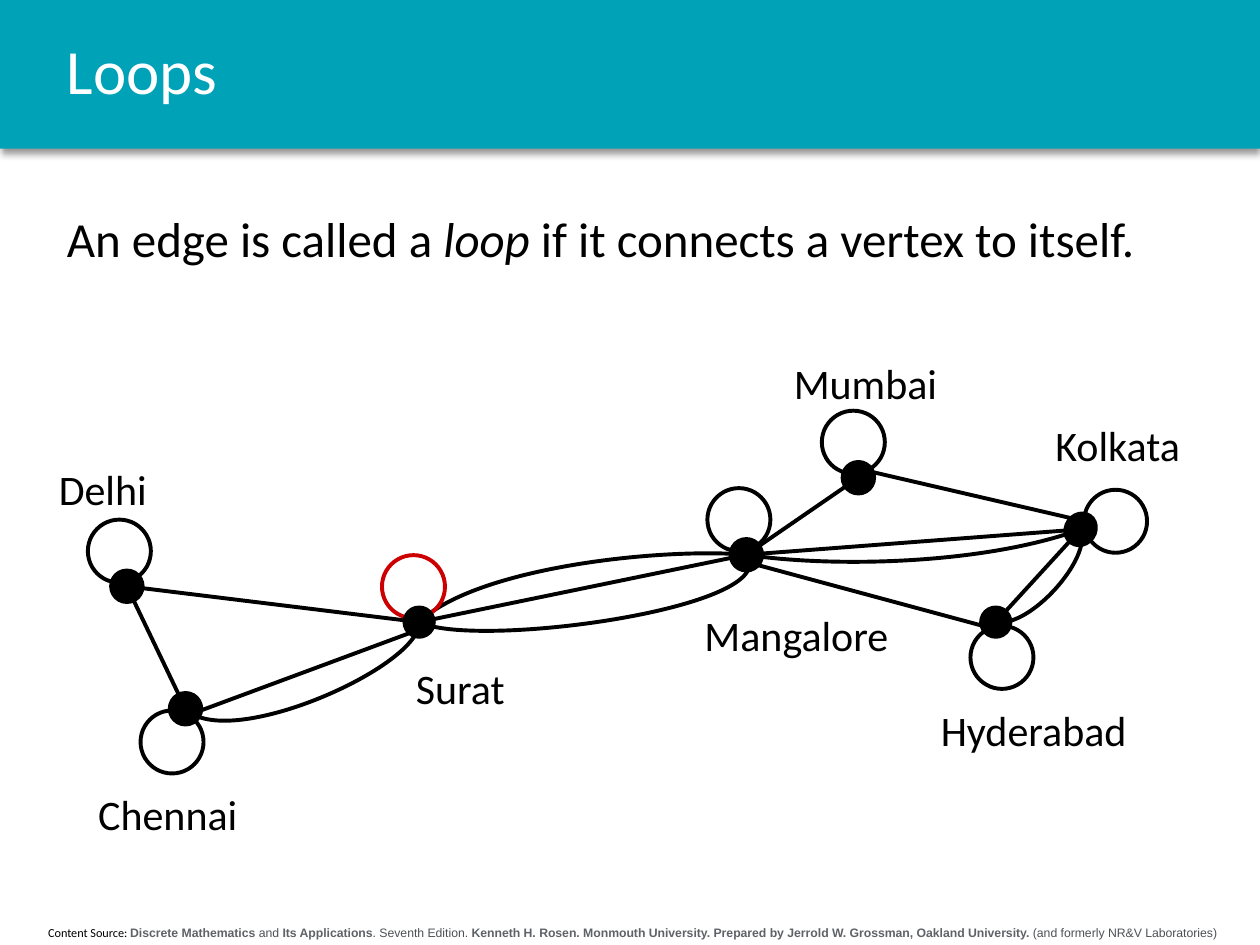
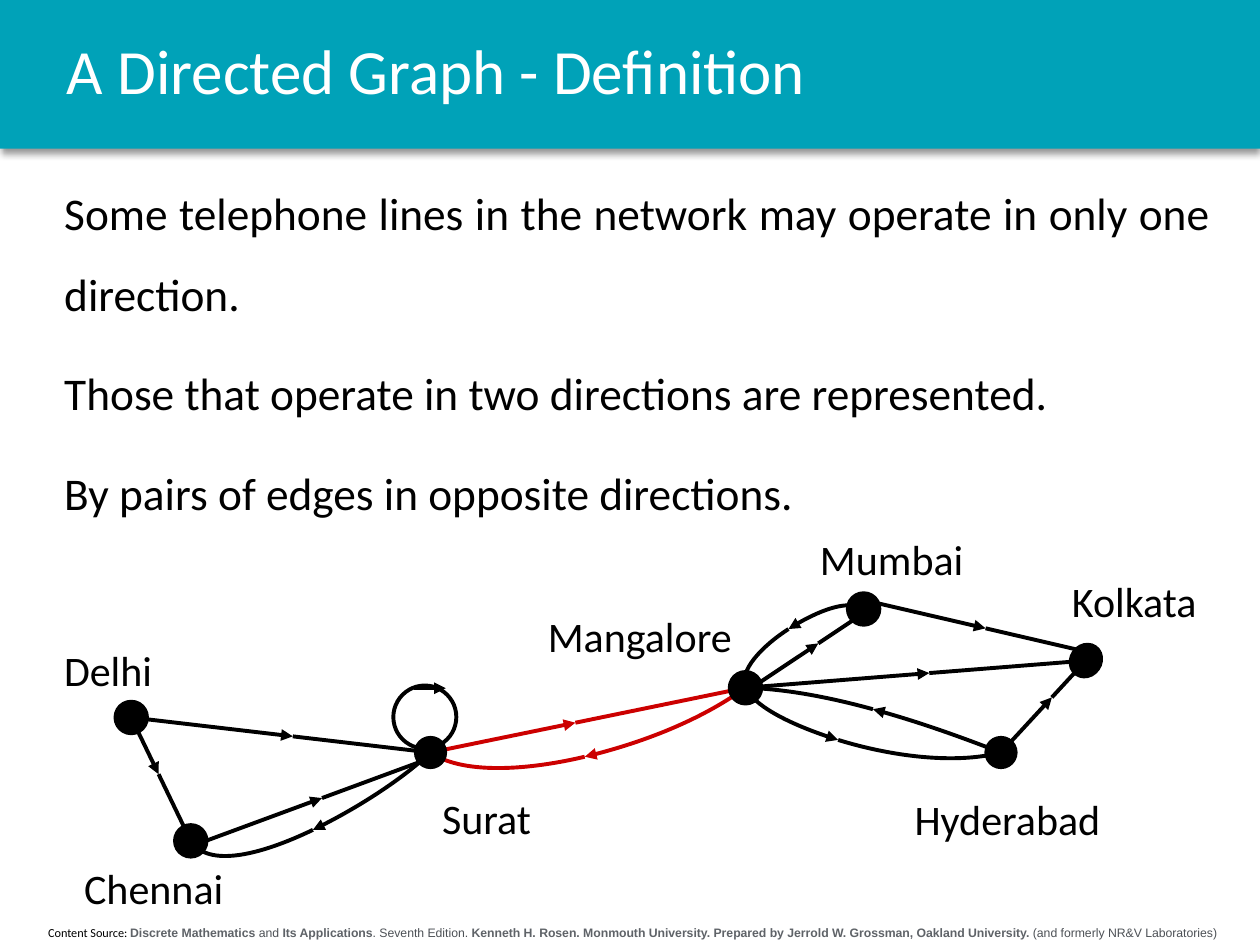
from dataclasses import dataclass
from math import cos, radians, sin
from typing import NamedTuple

from lxml.etree import SubElement
from pptx import Presentation
from pptx.dml.color import RGBColor
from pptx.enum.shapes import MSO_CONNECTOR, MSO_SHAPE
from pptx.enum.text import MSO_ANCHOR, MSO_AUTO_SIZE, PP_ALIGN
from pptx.oxml.ns import qn
from pptx.util import Pt


@dataclass(frozen=True)
class Theme:
    band: str = "00A2B8"
    white: str = "FFFFFF"
    black: str = "000000"
    red: str = "CC0000"
    citation: str = "5F6368"
    citation_light: str = "4D5156"
    font: str = "Calibri"
    citation_font: str = "Arial"
    title_size: float = 36
    label_size: float = 24
    footer_size: float = 7
    line_width: float = 2.25
    thin_line: float = 1


THEME = Theme()
VERTEX_SIZE = 18
LOOP_SIZE = 36
LOOP_DISTANCE = 20.5
LABEL_HEIGHT = 36


class VertexStyle(NamedTuple):
    label_width: float
    border: float
    height: float = VERTEX_SIZE
    rotation: float = 0


class Vertex(NamedTuple):
    centre: complex
    label_corner: complex
    loop_angle: float = None
    loop_color: str = THEME.black


class Handle(NamedTuple):
    along: float
    across: float


class Edge(NamedTuple):
    start: str
    end: str
    bend: tuple = ()
    shift: float = 0
    color: str = THEME.black
    arrow_at: float = None


VERTEX_STYLES = {
    "Delhi": VertexStyle(70, THEME.line_width),
    "Surat": VertexStyle(74, THEME.thin_line),
    "Chennai": VertexStyle(102, THEME.line_width),
    "Kolkata": VertexStyle(97, THEME.thin_line, height=20, rotation=35),
    "Mangalore": VertexStyle(130, THEME.line_width),
    "Hyderabad": VertexStyle(131, THEME.thin_line),
    "Mumbai": VertexStyle(100, THEME.line_width),
}

LOOP_VERTICES = {
    "Delhi": Vertex(72.5 + 335j, 26.5 + 261.5j, 258),
    "Surat": Vertex(239.5 + 355.5j, 230.5 + 375j, 261, THEME.red),
    "Chennai": Vertex(106 + 405j, 49 + 447j, 112),
    "Kolkata": Vertex(617.5 + 302.5j, 596 + 236j, 347),
    "Mangalore": Vertex(426.5 + 317j, 395.5 + 345j, 258),
    "Hyderabad": Vertex(569 + 355.5j, 530.5 + 399j, 80),
    "Mumbai": Vertex(490.5 + 273j, 446.5 + 201j, 262),
}
LOOP_EDGES = [
    Edge("Delhi", "Chennai"),
    Edge("Delhi", "Surat"),
    Edge("Chennai", "Surat", shift=4),
    Edge("Chennai", "Surat", bend=(Handle(0.1, 32), Handle(0.95, 24))),
    Edge("Surat", "Mangalore"),
    Edge("Surat", "Mangalore", bend=(Handle(0.15, 22), Handle(1.08, 34))),
    Edge("Surat", "Mangalore", bend=(Handle(0.2, -24), Handle(0.75, -14))),
    Edge("Mangalore", "Mumbai"),
    Edge("Mangalore", "Hyderabad", shift=4),
    Edge("Mangalore", "Kolkata"),
    Edge("Mangalore", "Kolkata", bend=(Handle(0.25, 11), Handle(0.7, 16))),
    Edge("Mumbai", "Kolkata", shift=-5),
    Edge("Hyderabad", "Kolkata"),
    Edge("Kolkata", "Hyderabad", bend=(Handle(0.1, -16), Handle(0.85, -17))),
]

DIRECTED_VERTICES = {
    "Delhi": Vertex(75 + 410j, 29.5 + 365j),
    "Surat": Vertex(246 + 430j, 245.5 + 449.5j, 261),
    "Chennai": Vertex(109 + 480.5j, 41 + 489.5j),
    "Kolkata": Vertex(620.5 + 377.5j, 605.5 + 325.5j),
    "Mangalore": Vertex(426 + 393j, 306 + 345.5j),
    "Hyderabad": Vertex(572 + 430j, 515.5 + 450j),
    "Mumbai": Vertex(493.5 + 348j, 461.5 + 301.5j),
}
DIRECTED_EDGES = [
    Edge("Delhi", "Chennai", arrow_at=0.46),
    Edge("Delhi", "Surat", arrow_at=0.54),
    Edge("Chennai", "Surat", shift=3, arrow_at=0.54),
    Edge("Surat", "Chennai", bend=(Handle(0.25, -16), Handle(0.95, -34)), arrow_at=0.47),
    Edge("Surat", "Mangalore", color=THEME.red, arrow_at=0.46),
    Edge("Mangalore", "Surat", bend=(Handle(0.3, -25), Handle(0.85, -29)), color=THEME.red, arrow_at=0.48),
    Edge("Mangalore", "Mumbai", shift=2, arrow_at=0.6),
    Edge("Mumbai", "Mangalore", bend=(Handle(0.1, 18), Handle(0.95, 20)), arrow_at=0.5),
    Edge("Mangalore", "Hyderabad", bend=(Handle(0.1, 18), Handle(0.7, 25)), arrow_at=0.47),
    Edge("Hyderabad", "Mangalore", bend=(Handle(0.33, 6), Handle(0.7, 10)), arrow_at=0.5),
    Edge("Mangalore", "Kolkata", arrow_at=0.54),
    Edge("Mumbai", "Kolkata", shift=-5, arrow_at=0.54),
    Edge("Hyderabad", "Kolkata", arrow_at=0.6),
]


def set_values(target, values):
    for name, value in values.items():
        setattr(target, name, value)


def place_shape(shape, left, top, width, height):
    set_values(shape, {"left": Pt(left), "top": Pt(top), "width": Pt(width), "height": Pt(height)})


def add_run(paragraph, text, size, color=THEME.black, font=THEME.font, **extra):
    run = paragraph.add_run()
    run.text = text
    set_values(run.font, {"name": font, "size": Pt(size), **extra})
    run.font.color.rgb = RGBColor.from_string(color)


def set_line(shape, color, width=THEME.line_width, arrow=False):
    shape.line.color.rgb = RGBColor.from_string(color)
    shape.line.width = Pt(width)
    if arrow:
        SubElement(shape.element.spPr.find(qn("a:ln")), qn("a:tailEnd"), type="triangle")


def set_fill(shape, color):
    shape.fill.solid()
    shape.fill.fore_color.rgb = RGBColor.from_string(color)


def add_band(slide):
    band = slide.shapes.add_shape(MSO_SHAPE.RECTANGLE, 0, 0, Pt(720), Pt(85))
    set_fill(band, THEME.band)
    band.line.fill.background()
    band.shadow.inherit = False
    effects = band.element.spPr.find(qn("a:effectLst"))
    shadow = SubElement(effects, qn("a:outerShdw"), blurRad=str(Pt(4)), dist=str(Pt(3)),
                        dir="5400000", algn="t", rotWithShape="0")
    color = SubElement(shadow, qn("a:srgbClr"), val=THEME.black)
    SubElement(color, qn("a:alpha"), val="40000")
    return band


def add_footer(slide):
    footer = slide.shapes.add_textbox(Pt(3), Pt(525), Pt(717), Pt(16))
    footer.text_frame.word_wrap = True
    paragraph = footer.text_frame.paragraphs[0]
    paragraph.alignment = PP_ALIGN.CENTER
    add_run(paragraph, "Content Source: ", THEME.footer_size)
    citation = [
        ("Discrete Mathematics", True),
        (" and ", False),
        ("Its Applications", True),
        (". Seventh Edition. ", False),
        ("Kenneth H. Rosen. Monmouth University. Prepared by Jerrold W. Grossman, Oakland University.", True),
        (" (and formerly NR&V Laboratories)", False),
    ]
    for text, bold in citation:
        color = THEME.citation if bold else THEME.citation_light
        add_run(paragraph, text, THEME.footer_size, color, THEME.citation_font, bold=bold)
    return footer


def move_to_layout(shapes, layout):
    for index, shape in enumerate(shapes):
        shape.element.xpath("./p:nvSpPr/p:cNvPr")[0].set("id", str(100 + index))
        layout.shapes.element.insert(2 + index, shape.element)


def write_title(slide, text):
    title = slide.shapes.title
    place_shape(title, 31, 0, 670, 85)
    set_values(title.text_frame, {"vertical_anchor": MSO_ANCHOR.MIDDLE, "auto_size": MSO_AUTO_SIZE.NONE})
    paragraph = title.text_frame.paragraphs[0]
    set_values(paragraph, {"alignment": PP_ALIGN.LEFT, "line_spacing": 0.9})
    add_run(paragraph, text, THEME.title_size, THEME.white)


def write_body(slide, box, size, lines):
    body = slide.placeholders[1]
    place_shape(body, *box)
    frame = body.text_frame
    frame.auto_size = MSO_AUTO_SIZE.NONE
    for index, runs in enumerate(lines):
        paragraph = frame.add_paragraph() if index else frame.paragraphs[0]
        set_values(paragraph, {"alignment": PP_ALIGN.JUSTIFY, "line_spacing": 1.5, "space_before": Pt(10)})
        properties = paragraph._p.get_or_add_pPr()
        properties.set("marL", "0")
        properties.set("indent", "0")
        SubElement(properties, qn("a:buNone"))
        for text, italic in runs:
            add_run(paragraph, text, size, italic=italic)


def to_lengths(point):
    return Pt(point.real), Pt(point.imag)


def add_straight_line(graph, points, color, arrow=False):
    start, end = map(to_lengths, points)
    line = graph.shapes.add_connector(MSO_CONNECTOR.STRAIGHT, *start, *end)
    set_line(line, color, arrow=arrow)
    SubElement(line.element.spPr, qn("a:effectLst"))


def add_curve(graph, points, color, arrow=False):
    start, *controls = map(to_lengths, points)
    builder = graph.shapes.build_freeform(*start)
    builder.add_line_segments(controls, close=False)
    curve = builder.convert_to_shape()
    outline = curve.element.xpath(".//a:path")[0]
    segments = outline.findall(qn("a:lnTo"))
    bezier = SubElement(outline, qn("a:cubicBezTo"))
    for segment in segments:
        bezier.append(segment[0])
        outline.remove(segment)
    curve.fill.background()
    curve.shadow.inherit = False
    set_line(curve, color, arrow=arrow)


def edge_points(edge, vertices):
    start, end = vertices[edge.start].centre, vertices[edge.end].centre
    direction = end - start
    sideways = direction / abs(direction) * 1j
    handles = [Handle(0, 0), *edge.bend, Handle(1, 0)]
    return [start + direction * handle.along + sideways * (handle.across + edge.shift) for handle in handles]


def split_points(points, share):
    first, second = [], []
    while points:
        first.append(points[0])
        second.insert(0, points[-1])
        points = [near + (far - near) * share for near, far in zip(points, points[1:])]
    return first, second


def add_edge(graph, edge, vertices):
    draw = add_curve if edge.bend else add_straight_line
    points = edge_points(edge, vertices)
    if edge.arrow_at is None:
        draw(graph, points, edge.color)
    else:
        arrowed_part, rest = split_points(points, edge.arrow_at)
        draw(graph, arrowed_part, edge.color, arrow=True)
        draw(graph, rest, edge.color)


def add_ellipse(graph, centre, width, height):
    corner = centre - complex(width, height) / 2
    ellipse = graph.shapes.add_shape(MSO_SHAPE.OVAL, *to_lengths(corner), Pt(width), Pt(height))
    ellipse.shadow.inherit = False
    return ellipse


def add_loop(graph, vertex, directed):
    angle = radians(vertex.loop_angle)
    centre = vertex.centre + LOOP_DISTANCE * complex(cos(angle), sin(angle))
    loop = add_ellipse(graph, centre, LOOP_SIZE, LOOP_SIZE)
    loop.fill.background()
    set_line(loop, vertex.loop_color)
    if directed:
        add_straight_line(graph, [centre - 6 - 16.5j, centre + 12 - 16.5j], vertex.loop_color, arrow=True)


def add_vertex(graph, name, vertex):
    style = VERTEX_STYLES[name]
    dot = add_ellipse(graph, vertex.centre, VERTEX_SIZE, style.height)
    dot.rotation = style.rotation
    set_fill(dot, THEME.black)
    set_line(dot, THEME.black, style.border)
    corner = to_lengths(vertex.label_corner)
    label = graph.shapes.add_textbox(*corner, Pt(style.label_width), Pt(LABEL_HEIGHT))
    set_values(label.text_frame, {"word_wrap": False, "auto_size": MSO_AUTO_SIZE.SHAPE_TO_FIT_TEXT})
    add_run(label.text_frame.paragraphs[0], name, THEME.label_size)


def add_graph(slide, vertices, edges, directed=False):
    graph = slide.shapes.add_group_shape()
    for edge in edges:
        add_edge(graph, edge, vertices)
    for vertex in vertices.values():
        if vertex.loop_angle is not None:
            add_loop(graph, vertex, directed)
    for name, vertex in vertices.items():
        add_vertex(graph, name, vertex)


def main():
    presentation = Presentation()
    set_values(presentation, {"slide_width": Pt(720), "slide_height": Pt(540)})
    layout = presentation.slide_layouts[1]
    loops, directed_graph = [presentation.slides.add_slide(layout) for _ in range(2)]
    move_to_layout([add_band(loops), add_footer(loops)], layout)

    write_title(loops, "Loops")
    write_body(loops, (31, 98.5, 661, 103), 28, [
        [("An edge is called a ", False), ("loop", True), (" if it connects a vertex to itself.", False)],
    ])
    add_graph(loops, LOOP_VERTICES, LOOP_EDGES)

    write_title(directed_graph, "A Directed Graph - Definition")
    write_body(directed_graph, (29.5, 86.5, 669.5, 220), 25.9, [
        [("Some telephone lines in the network may operate in only one direction.", False)],
        [("Those that operate in two directions are represented.", False)],
        [("By pairs of edges in opposite directions.", False)],
    ])
    add_graph(directed_graph, DIRECTED_VERTICES, DIRECTED_EDGES, directed=True)
    presentation.save("out.pptx")


if __name__ == "__main__":
    main()
